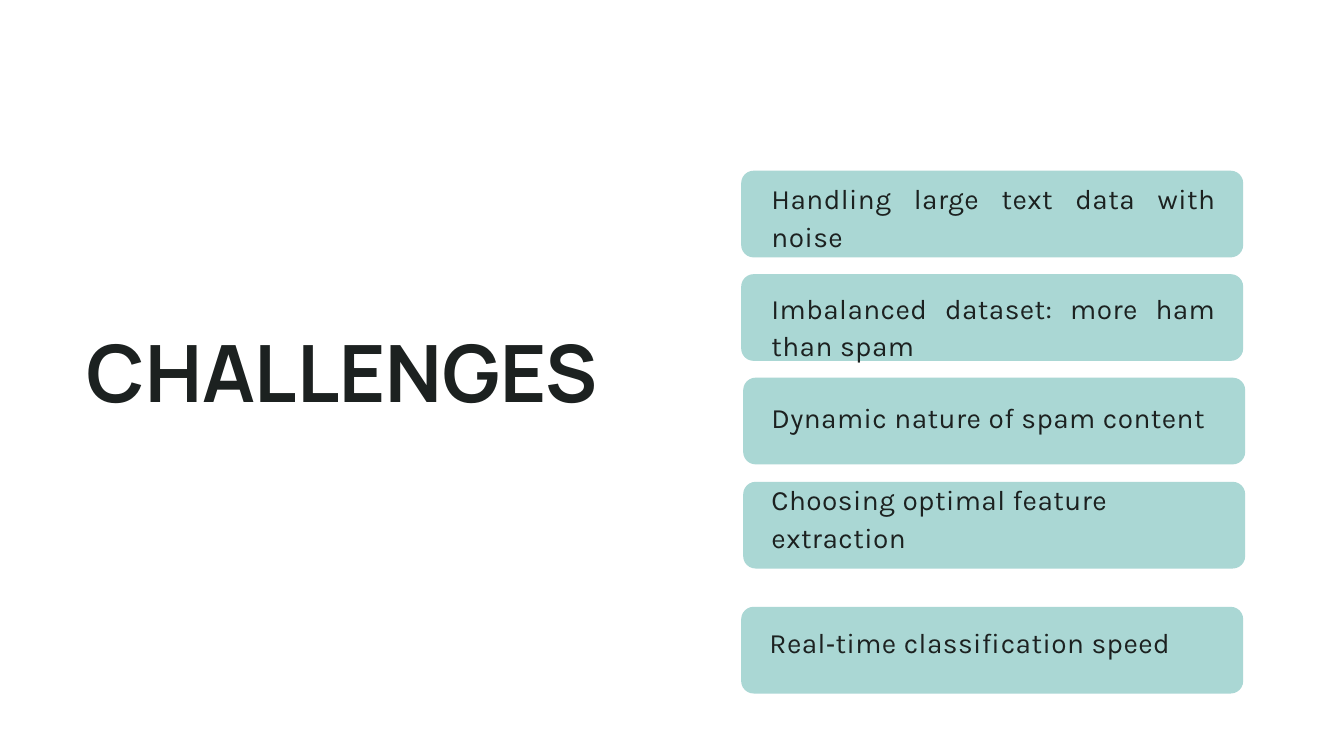
import pptx
from pptx.dml.color import RGBColor
from pptx.enum.shapes import MSO_SHAPE
from pptx.enum.text import PP_ALIGN
from pptx.util import Inches, Pt

INK, TEAL = "1C2120", "AAD7D4"
TITLE = "CHALLENGES"
JUSTIFY, LEFT = PP_ALIGN.JUSTIFY, PP_ALIGN.LEFT
CARD_WIDTH, CARD_HEIGHT, CORNER = 7.47, 1.29, 0.185
TEXT_WIDTH = 6.62

# card left, card top, text left, text top, text height, alignment, wording
CHALLENGES = [
    (11.03, 2.54, 11.48, 2.64, 1.68, JUSTIFY, "Handling large text data with noise"),
    (11.03, 4.08, 11.48, 4.27, 1.68, JUSTIFY, "Imbalanced dataset: more ham than spam"),
    (11.06, 5.62, 11.48, 5.89, 0.55, JUSTIFY, "Dynamic nature of spam content"),
    (11.06, 7.17, 11.48, 7.12, 1.68, LEFT, "Choosing optimal feature extraction"),
    (11.03, 9.03, 11.45, 9.24, 1.11, JUSTIFY, "Real‑time classification speed"),
]


def color(value):
    return RGBColor.from_string(value)


def add_card(page, left, top):
    card = page.shapes.add_shape(
        MSO_SHAPE.ROUNDED_RECTANGLE,
        Inches(left), Inches(top), Inches(CARD_WIDTH), Inches(CARD_HEIGHT))
    card.adjustments[0] = CORNER / CARD_HEIGHT
    card.shadow.inherit = False
    card.fill.solid()
    card.fill.fore_color.rgb = color(TEAL)
    card.line.fill.background()


def add_text(page, text, left, top, width, height, font, size, leading,
             align=LEFT, bold=False, tracking=0):
    """Add a one-paragraph box without margins; tracking is in points."""
    box = page.shapes.add_textbox(
        Inches(left), Inches(top), Inches(width), Inches(height))
    frame = box.text_frame
    frame.word_wrap = True
    frame.margin_left = frame.margin_right = 0
    frame.margin_top = frame.margin_bottom = 0
    para = frame.paragraphs[0]
    para.alignment = align
    para.line_spacing = Pt(leading)
    para.font.name = font
    para.font.size = Pt(size)
    para.font.bold = bold
    para.font.color.rgb = color(INK)
    span = para.add_run()
    span.text = text
    if tracking:
        span.font._element.set("spc", str(round(tracking * 100)))


def main():
    deck = pptx.Presentation()
    deck.slide_width, deck.slide_height = Inches(20), Inches(11.25)
    page = deck.slides.add_slide(deck.slide_layouts[6])

    add_text(page, TITLE, 1.29, 4.88, 9.34, 1.45, "Manrope", 84.7, 96.6, bold=True)
    for left, top, *_ in CHALLENGES:
        add_card(page, left, top)
    for _, _, left, top, height, align, text in CHALLENGES:
        add_text(page, text, left, top, TEXT_WIDTH, height, "Karla", 30, 40.5,
                 align=align, tracking=0.5)

    deck.save("out.pptx")


if __name__ == "__main__":
    main()
